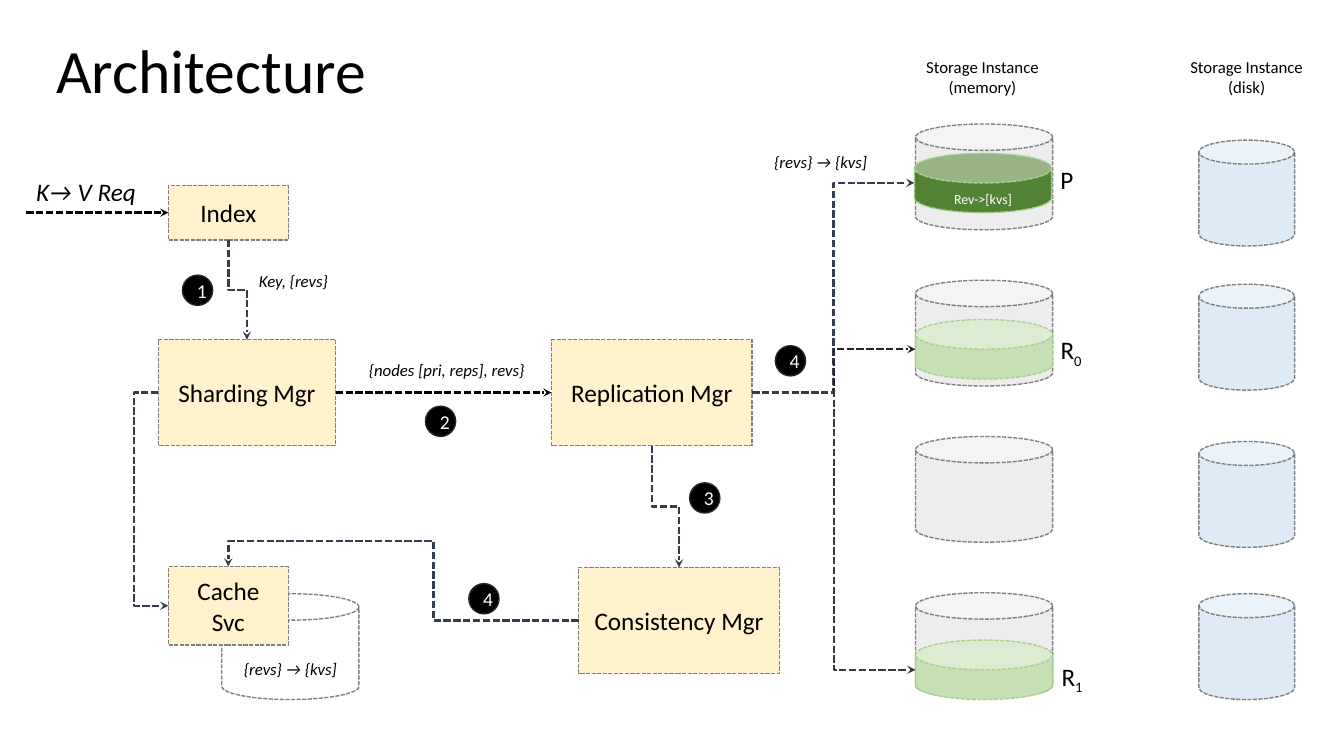
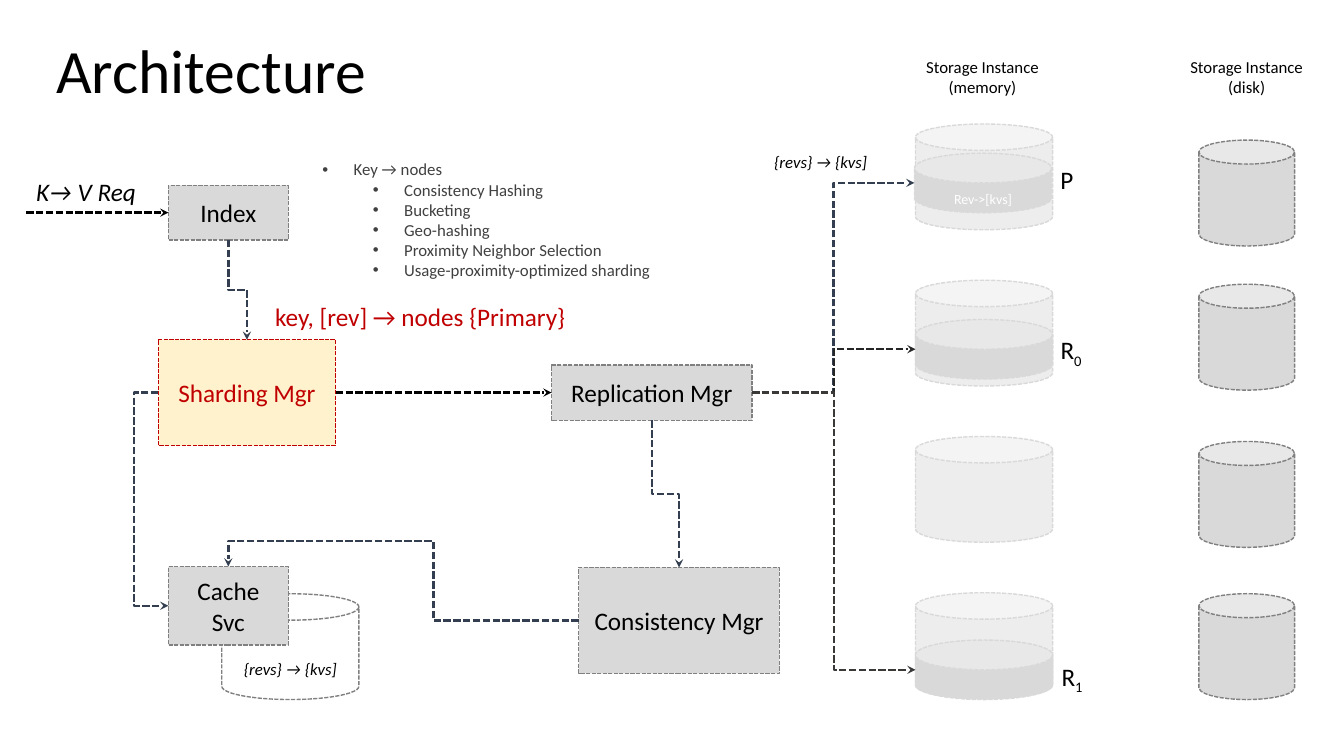
from dataclasses import dataclass

from lxml import etree
from pptx import Presentation
from pptx import util as u
from pptx.dml.color import RGBColor
from pptx.enum import dml, shapes, text
from pptx.oxml.ns import qn


@dataclass(frozen=True)
class Theme:
    font: str = "Calibri"
    title: int = 44
    label: int = 18
    badge: int = 14
    note: int = 12
    small: int = 10
    black: str = "000000"
    white: str = "FFFFFF"
    ink: str = "262626"
    body: str = "404040"
    navy: str = "333F50"
    brown: str = "3B3838"
    edge: str = "808080"
    grey: str = "D9D9D9"
    pale: str = "EDEDED"
    cream: str = "FFF2CC"
    red: str = "C00000"
    blue: str = "DEEBF7"
    green: str = "548235"
    mint: str = "C5E0B4"
    leaf: str = "A9D18E"


T = Theme()
RECT = shapes.MSO_SHAPE.RECTANGLE
CAN = shapes.MSO_SHAPE.CAN
OVAL = shapes.MSO_SHAPE.OVAL
TOP, LEFT, BOTTOM, RIGHT = range(4)
SIDE_SPOTS = [(0.5, 0), (0, 0.5), (0.5, 1), (1, 0.5)]


def part(slide, kind, box, words="", size=T.label, color=T.black, fill=None,
         edge=T.edge, dashed=True, italic=False, wrap=False, centred=False, sub=""):
    place = [u.Inches(v) for v in box]
    if kind is None:
        item = slide.shapes.add_textbox(*place)
        item.text_frame.word_wrap = wrap
        item.text_frame.auto_size = text.MSO_AUTO_SIZE.SHAPE_TO_FIT_TEXT
    else:
        item = slide.shapes.add_shape(kind, *place)
        item.shadow.inherit = False
        if fill:
            item.fill.solid()
            item.fill.fore_color.rgb = RGBColor.from_string(fill)
        else:
            item.fill.background()
        item.line.color.rgb = RGBColor.from_string(edge)
        item.line.width = u.Pt(1)
        if dashed:
            item.line.dash_style = dml.MSO_LINE.SQUARE_DOT
    frame = item.text_frame
    for number, line in enumerate(words.split("\n") if words else []):
        para = frame.add_paragraph() if number else frame.paragraphs[0]
        para.alignment = text.PP_ALIGN.CENTER if kind or centred else text.PP_ALIGN.LEFT
        for piece in filter(None, (line, sub)):
            run = para.add_run()
            run.text = piece
            run.font.name = T.font
            run.font.size = u.Pt(size)
            run.font.italic = italic
            run.font.color.rgb = RGBColor.from_string(color)
        if sub:
            run.font._element.set("baseline", "-25000")
    return item


def link(slide, start, start_side, end, end_side, color=T.navy, elbow=True,
         turn=0, preset=None, bends=()):
    points = []
    for item, side in ((start, start_side), (end, end_side)):
        if isinstance(item, tuple):
            points += [u.Inches(v) for v in item]
        else:
            across, down = SIDE_SPOTS[side]
            points += [int(item.left + item.width * across), int(item.top + item.height * down)]
    style = shapes.MSO_CONNECTOR.ELBOW if elbow else shapes.MSO_CONNECTOR.STRAIGHT
    wire = slide.shapes.add_connector(style, *points)
    if not isinstance(start, tuple):
        wire.begin_connect(start, start_side)
    wire.end_connect(end, 2 if end.auto_shape_type == CAN else end_side)
    wire.end_x, wire.end_y = points[2:]
    props = wire._element.spPr
    if turn:
        frame = props.find(qn("a:xfrm"))
        for flip in ("flipH", "flipV"):
            frame.attrib.pop(flip, None)
        frame.set("rot", str(turn * 60000))
        if turn == 270:
            x1, y1, x2, y2 = points
            wire.width, wire.height = y2 - y1, x2 - x1
            wire.left = (x1 + x2 - wire.width) // 2
            wire.top = (y1 + y2 - wire.height) // 2
            frame.set("flipH", "1")
    geometry = props.find(qn("a:prstGeom"))
    if preset:
        geometry.set("prst", preset)
    for number, bend in enumerate(bends, 1):
        guide = etree.SubElement(geometry.find(qn("a:avLst")), qn("a:gd"))
        guide.set("name", f"adj{number}" if len(bends) > 1 else "adj1")
        guide.set("fmla", f"val {round(bend * 100000)}")
    wire.line.color.rgb = RGBColor.from_string(color)
    wire.line.width = u.Pt(1.75)
    wire.line.dash_style = dml.MSO_LINE.SQUARE_DOT
    etree.SubElement(props.find(qn("a:ln")), qn("a:tailEnd")).set("type", "stealth")
    etree.SubElement(props, qn("a:effectLst"))


looks = [
    dict(box=T.cream, sharding=T.black, sharding_edge=T.edge, replication=(3.37, 1.05),
         memory_edge=T.edge, primary=T.green, replica=T.mint, data_edge=T.leaf, disk=T.blue),
    dict(box=T.grey, sharding=T.red, sharding_edge=T.red, replication=(3.62, 0.55),
         memory_edge=T.grey, primary=T.grey, replica=T.grey, data_edge=T.grey, disk=T.grey),
]

deck = Presentation()
deck.slide_width, deck.slide_height = u.Inches(13.33), u.Inches(7.5)
pages = []

for look in looks:
    page = deck.slides.add_slide(deck.slide_layouts[6])
    pages.append(page)

    heading = part(page, None, (0.46, 0.33, 11.5, 0.79), "Architecture", T.title, wrap=True)
    heading.text_frame.auto_size = text.MSO_AUTO_SIZE.NONE
    heading.text_frame.vertical_anchor = text.MSO_ANCHOR.MIDDLE
    heading.text_frame.paragraphs[0].line_spacing = 0.9

    for left, width, words in [(8.8, 1.89, "Storage Instance (memory)"),
                               (11.68, 1.37, "Storage Instance\n(disk)")]:
        part(page, None, (left, 0.51, width, 0.5), words, T.note, wrap=True, centred=True)

    sharding = part(page, RECT, (1.57, 3.37, 1.76, 1.05), "Sharding Mgr",
                    color=look["sharding"], fill=T.cream, edge=look["sharding_edge"])
    part(page, CAN, (2.2, 5.89, 1.36, 1.05))
    top, height = look["replication"]
    replication, consistency, cache, index = [
        part(page, RECT, box, words, fill=look["box"])
        for box, words in [
            ((5.47, top, 1.99, height), "Replication Mgr"),
            ((5.74, 5.63, 1.99, 1.05), "Consistency Mgr"),
            ((1.67, 5.62, 1.19, 0.78), "Cache Svc"),
            ((1.67, 1.84, 1.19, 0.54), "Index"),
        ]
    ]

    for row in range(4):
        part(page, CAN, (9.08, 1.23 + 1.55 * row, 1.36, 1.05),
             fill=T.pale, edge=look["memory_edge"])
    for top in (1.39, 2.82, 4.38, 5.89):
        part(page, CAN, (11.89, top, 0.95, 1.05), fill=look["disk"])

    stores = [
        part(page, CAN, (left, top, 1.36, 0.59), words, T.small, T.white,
             fill=look[tone], edge=look["data_edge"])
        for left, top, words, tone in [(9.07, 1.52, "Rev->[kvs]", "primary"),
                                       (9.08, 3.17, "", "replica"),
                                       (9.08, 6.35, "", "replica")]
    ]
    for store in stores:
        store.adjustments[0] = 0.5
    primary_frame = stores[0].text_frame
    primary_frame.vertical_anchor = text.MSO_ANCHOR.TOP
    primary_frame.margin_top, primary_frame.margin_bottom = u.Inches(0.07), 0

    for left, top, width, words, sub in [(10.42, 1.58, 0.33, "P", ""),
                                         (10.42, 3.27, 0.42, "R", "0"),
                                         (10.43, 6.51, 0.42, "R", "1")]:
        part(page, None, (left, top, width, 0.4), words, sub=sub)

    link(page, (0.26, 2.11), None, index, LEFT, T.black, elbow=False)
    link(page, sharding, RIGHT, replication, LEFT, T.black, elbow=False)
    for store, color in zip(stores, (T.navy, T.ink, T.brown)):
        link(page, replication, RIGHT, store, LEFT, color, bends=(0.5,))
    link(page, consistency, LEFT, cache, TOP, turn=180,
         preset="bentConnector4", bends=(0.415, 1.468))
    link(page, sharding, LEFT, cache, LEFT, bends=(-2.43,))
    link(page, index, BOTTOM, sharding, TOP, turn=270, bends=(0.5,))
    link(page, replication, BOTTOM, consistency, TOP, turn=270, bends=(0.5,))

    part(page, None, (0.26, 1.7, 1.22, 0.4), "K→ V Req", italic=True)
    for left, top in [(7.58, 1.46), (2.32, 6.49)]:
        part(page, None, (left, top, 1.15, 0.3), "{revs} → {kvs]", T.note, italic=True)

flow, focus = pages

for left, top, width, words in [(3.56, 3.52, 1.76, "{nodes [pri, reps], revs}"),
                                (2.47, 2.64, 0.89, "Key, {revs}")]:
    part(flow, None, (left, top, width, 0.3), words, T.note, italic=True)
for left, top, step in [(1.81, 2.73, "1"), (4.22, 4.03, "2"), (6.84, 4.79, "3"),
                        (7.69, 3.43, "4"), (4.65, 5.79, "4")]:
    part(flow, OVAL, (left, top, 0.3, 0.3), step, T.badge, T.white,
         fill=T.black, edge=T.ink, dashed=False)

part(focus, None, (2.63, 2.94, 3.13, 0.4), "key, [rev] → nodes {Primary}", color=T.red)
methods = part(focus, None, (3.1, 1.53, 3.48, 1.31),
               "Key → nodes\nConsistency Hashing\nBucketing\nGeo-hashing\n"
               "Proximity Neighbor Selection\nUsage-proximity-optimized sharding",
               T.note, T.body)
for number, para in enumerate(methods.text_frame.paragraphs):
    para.level = min(number, 1)
    layout = para._p.get_or_add_pPr()
    layout.set("marL", str(u.Inches(0.31 + 0.5 * para.level)))
    layout.set("indent", str(u.Inches(-0.31)))
    etree.SubElement(layout, qn("a:buFont")).set("typeface", "Arial")
    etree.SubElement(layout, qn("a:buChar")).set("char", "•")

deck.save("out.pptx")
